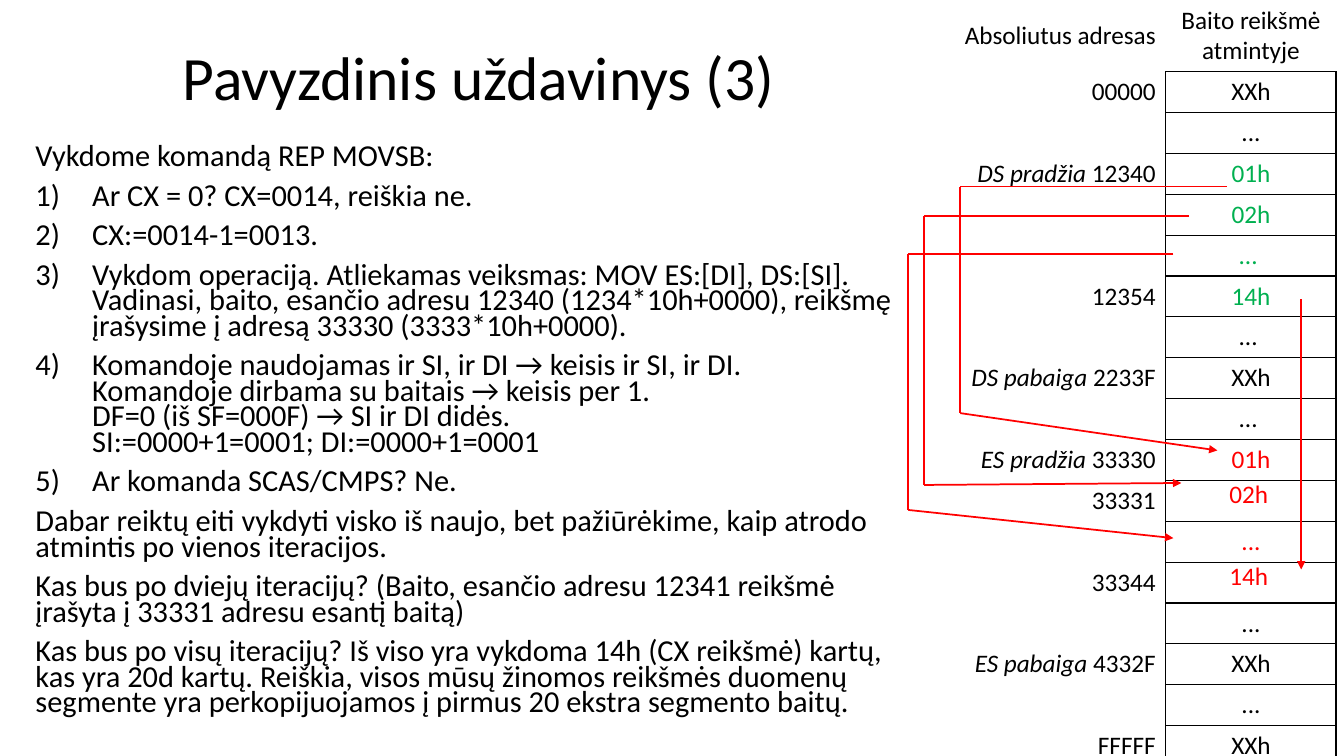
from itertools import pairwise

from pptx import Presentation
from pptx.dml.color import RGBColor
from pptx.enum.shapes import MSO_CONNECTOR as Link
from pptx.enum.text import MSO_ANCHOR as Anchor, MSO_AUTO_SIZE as Fit, PP_ALIGN as Align
from pptx.oxml.ns import qn
from pptx.util import Cm, Pt
from lxml.etree import SubElement as sub

BLACK, GREEN, RED = "000000", "00B050", "FF0000"
PLAIN = "{2D5ABB26-0587-4C30-8999-92F81FD0307C}"

# (text, is numbered)
STEPS = [
    ("Vykdome komandą REP MOVSB:", False),
    ("Ar CX = 0? CX=0014, reiškia ne.", True),
    ("CX:=0014-1=0013.", True),
    ("Vykdom operaciją. Atliekamas veiksmas: MOV ES:[DI], DS:[SI]. "
     "Vadinasi, baito, esančio adresu 12340 (1234*10h+0000), reikšmę "
     "įrašysime į adresą 33330 (3333*10h+0000).", True),
    ("Komandoje naudojamas ir SI, ir DI → keisis ir SI, ir DI.\n"
     "Komandoje dirbama su baitais → keisis per 1.\n"
     "DF=0 (iš SF=000F) → SI ir DI didės.\n"
     "SI:=0000+1=0001; DI:=0000+1=0001", True),
    ("Ar komanda SCAS/CMPS? Ne.", True),
    ("Dabar reiktų eiti vykdyti visko iš naujo, bet pažiūrėkime, kaip "
     "atrodo atmintis po vienos iteracijos.", False),
    ("Kas bus po dviejų iteracijų? (Baito, esančio adresu 12341 reikšmė "
     "įrašyta į 33331 adresu esantį baitą)", False),
    ("Kas bus po visų iteracijų? Iš viso yra vykdoma 14h (CX reikšmė) kartų, "
     "kas yra 20d kartų. Reiškia, visos mūsų žinomos reikšmės duomenų segmente "
     "yra perkopijuojamos į pirmus 20 ekstra segmento baitų.", False),
]

# (label, address, byte, colour of the byte)
BYTES = [
    ("", "Absoliutus adresas", "Baito reikšmė atmintyje", BLACK),
    ("", "00000", "XXh", BLACK),
    ("", "", "...", BLACK),
    ("DS pradžia ", "12340", "01h", GREEN),
    ("", "", "02h", GREEN),
    ("", "", "... ", GREEN),
    ("", "12354", "14h", GREEN),
    ("", "", "... ", BLACK),
    ("DS pabaiga ", "2233F", "XXh", BLACK),
    ("", "", "... ", BLACK),
    ("ES pradžia ", "33330", "01h", RED),
    ("", "33331", "", RED),
    ("", "", "...", RED),
    ("", "33344", "", RED),
    ("", "", "...", BLACK),
    ("ES pabaiga ", "4332F", "XXh", BLACK),
    ("", "", "...", BLACK),
    ("", "FFFFF", "XXh", BLACK),
]

# corner points in cm, from the byte read to the byte written
PATHS = [
    [(30.91, 4.7), (24.2, 4.7), (24.2, 10.41), (30.68, 11.35)],
    [(29.97, 5.44), (23.29, 5.44), (23.29, 12.22), (29.77, 12.17)],
    [(29.57, 6.4), (22.89, 6.4), (22.89, 12.85), (29.57, 13.56)],
    [(32.79, 7.54), (32.79, 14.35)],
]


def color(code):
    return RGBColor.from_string(code)


def write(par, text, size=18, tint=BLACK, italic=False, align=None):
    if align is not None:
        par.alignment = align
    for i, line in enumerate(text.split("\n")):
        if i:
            par.add_line_break()
        run = par.add_run()
        run.text = line
        font = run.font
        font.name, font.size, font.italic = "Calibri", Pt(size), italic
        font.color.rgb = color(tint)


def place(shape, left, top, width, height):
    shape.left, shape.top = Cm(left), Cm(top)
    shape.width, shape.height = Cm(width), Cm(height)
    shape.text_frame.auto_size = Fit.NONE


def mark(par, number):
    """Give a paragraph a hanging number, or neither number nor indent."""
    props = par._p.get_or_add_pPr()
    hang = Cm(1.43) if number else 0
    props.set("marL", str(hang))
    props.set("indent", str(-hang))
    if number:
        sub(props, qn("a:buFont"), typeface="+mj-lt")
        sub(props, qn("a:buAutoNum"), type="arabicParenR")
    else:
        sub(props, qn("a:buNone"))


def add_steps(body):
    frame = body.text_frame
    frame.vertical_anchor = Anchor.TOP
    for i, (text, number) in enumerate(STEPS):
        par = frame.add_paragraph() if i else frame.paragraphs[0]
        par.line_spacing, par.space_before = 0.7, Pt(10)
        mark(par, number)
        write(par, text, size=21.7)


def edge(cell, sides):
    props = cell._tc.get_or_add_tcPr()
    for side in sides:
        line = sub(props, qn(f"a:ln{side}"), w=str(Pt(1)))
        fill = sub(line, qn("a:solidFill"))
        sub(fill, qn("a:srgbClr"), val=BLACK)


def add_bytes(slide):
    grid = slide.shapes.add_table(len(BYTES), 2, Cm(22.73), 0, Cm(10.94), Cm(18.56)).table
    grid._tbl.tblPr.find(qn("a:tableStyleId")).text = PLAIN
    grid.first_row = grid.horz_banding = False
    grid.columns[0].width, grid.columns[1].width = Cm(6.65), Cm(4.29)
    for i, (label, address, byte, tint) in enumerate(BYTES):
        grid.rows[i].height = Cm(0.99 if i else 1.73)
        left, right = grid.cell(i, 0), grid.cell(i, 1)
        left.vertical_anchor = Anchor.MIDDLE
        par = left.text_frame.paragraphs[0]
        if label:
            write(par, label, italic=True)
        write(par, address, align=Align.RIGHT)
        write(right.text_frame.paragraphs[0], byte, tint=tint, align=Align.CENTER)
        edge(right, "LRTB" if i else "B")
        if i:
            edge(left, "R")
        left.fill.background()
        right.fill.background()


def add_path(slide, points):
    """Join the points with red lines and put an arrowhead on the last."""
    for start, end in pairwise(points):
        line = slide.shapes.add_connector(Link.STRAIGHT, *map(Cm, start + end))
        line.line.color.rgb, line.line.width = color(RED), Pt(1.25)
        if end == points[-1]:
            sub(line.line._get_or_add_ln(), qn("a:tailEnd"), type="triangle")
        sub(line._element.spPr, qn("a:effectLst"))


def add_note(slide, text, top):
    box = slide.shapes.add_textbox(Cm(30.73), Cm(top), Cm(2.06), Cm(1.02))
    box.text_frame.word_wrap = True
    write(box.text_frame.paragraphs[0], text, tint=RED)


def main():
    deck = Presentation()
    deck.slide_width, deck.slide_height = Cm(33.87), Cm(19.05)
    slide = deck.slides.add_slide(deck.slide_layouts[1])
    title, body = slide.placeholders
    place(title, -2.54, 0.18, 29.21, 3.68)
    title.text_frame.vertical_anchor = Anchor.MIDDLE
    head = title.text_frame.paragraphs[0]
    head.line_spacing = 0.9
    write(head, "Pavyzdinis uždavinys (3)", size=44, align=Align.CENTER)
    place(body, 0.64, 3.56, 22.86, 15.04)
    add_steps(body)
    add_bytes(slide)
    for points in PATHS:
        add_path(slide, points)
    add_note(slide, "02h", 11.94)
    add_note(slide, "14h", 14)
    deck.save("out.pptx")


if __name__ == "__main__":
    main()
